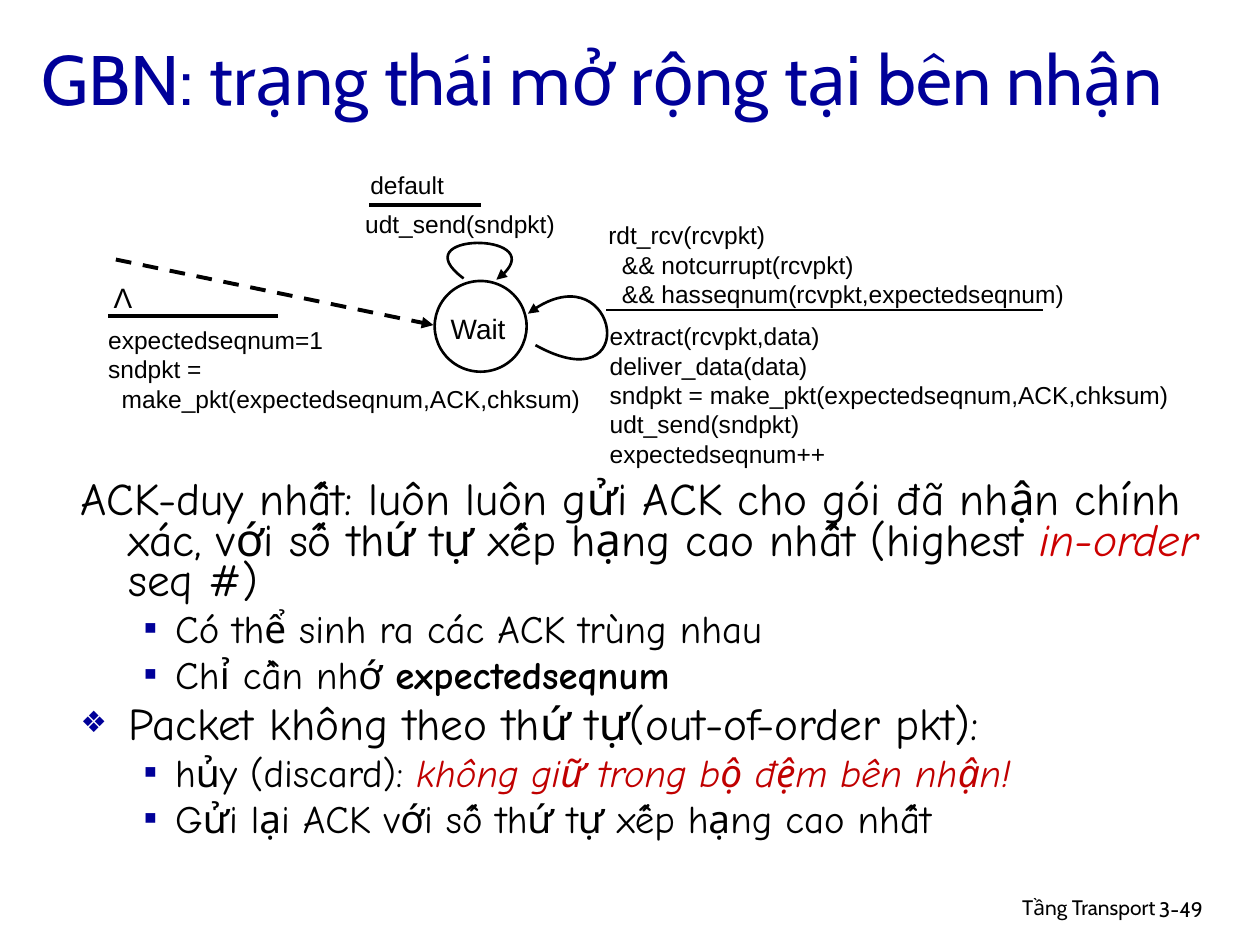
from lxml import etree
from pptx import Presentation
from pptx.dml.color import RGBColor
from pptx.enum.dml import MSO_LINE
from pptx.enum.shapes import MSO_CONNECTOR, MSO_SHAPE
from pptx.enum.text import MSO_ANCHOR, MSO_AUTO_SIZE, PP_ALIGN
from pptx.oxml.ns import qn
from pptx.util import Inches, Pt

LEFT, CENTER, RIGHT = PP_ALIGN.LEFT, PP_ALIGN.CENTER, PP_ALIGN.RIGHT
TOP, MIDDLE = MSO_ANCHOR.TOP, MSO_ANCHOR.MIDDLE
NO_AUTOFIT = MSO_AUTO_SIZE.NONE
STRAIGHT, OVAL, DASH = MSO_CONNECTOR.STRAIGHT, MSO_SHAPE.OVAL, MSO_LINE.DASH

COLORS = {
    "ink": "000000",
    "paper": "FFFFFF",
    "navy": "000099",
    "red": "CC0000",
    "dark red": "C00000",
}
# level: (text size, bullet, bullet size in %, left margin, hanging indent, space before)
LEVELS = {
    0: (25.9, "❖", 65, 0.38, 0.38, 7),
    1: (22.2, "▪", 100, 0.75, 0.25, 6),
}


def rgb(name):
    return RGBColor.from_string(COLORS[name])


class SlideBuilder:
    """Holds the style and the slide being filled."""

    heading_font = "Cabin"
    body_font = "Comic Neue"
    diagram_font = "Arial"

    def __init__(self, slide):
        self.slide = slide
        self.shapes = slide.shapes

    def style(self, font, face, size, color="ink"):
        font.name, font.size = face, Pt(size)
        font.color.rgb = rgb(color)

    def place(self, shape, box):
        shape.left, shape.top, shape.width, shape.height = map(Inches, box)

    def title(self, text, box):
        title = self.shapes.title
        self.place(title, box)
        frame = title.text_frame
        frame.text = text
        frame.auto_size, frame.vertical_anchor = NO_AUTOFIT, MIDDLE
        paragraph = frame.paragraphs[0]
        paragraph.alignment = LEFT
        self.style(paragraph.runs[0].font, self.heading_font, 40, "navy")

    def bullet(self, paragraph, level, shown):
        _, mark, percent, margin, hanging, _ = LEVELS[level]
        props = paragraph._p.get_or_add_pPr()
        props.set("marL", str(Inches(margin)))
        props.set("indent", str(-Inches(hanging)))
        if not shown:
            etree.SubElement(props, qn("a:buNone"))
            return
        color = etree.SubElement(props, qn("a:buClr"))
        etree.SubElement(color, qn("a:srgbClr"), val=COLORS["navy"])
        etree.SubElement(props, qn("a:buSzPct"), val=str(percent * 1000))
        etree.SubElement(props, qn("a:buChar"), char=mark)

    def body(self, items, box):
        """Each item is (level, has bullet, runs); a run is (text, color, bold, italic)."""
        body = self.slide.placeholders[1]
        self.place(body, box)
        frame = body.text_frame
        frame.auto_size, frame.vertical_anchor = NO_AUTOFIT, TOP
        for index, (level, has_bullet, runs) in enumerate(items):
            paragraph = frame.add_paragraph() if index else frame.paragraphs[0]
            paragraph.level = level
            self.bullet(paragraph, level, has_bullet)
            paragraph.line_spacing = 0.75
            paragraph.space_before = Pt(LEVELS[level][-1] if index else 0)
            for text, color, bold, italic in runs:
                run = paragraph.add_run()
                run.text = text
                self.style(run.font, self.body_font, LEVELS[level][0], color)
                run.font.bold, run.font.italic = bold, italic

    def label(self, text, box, size=14, face=diagram_font, align=LEFT, wrap=True):
        frame = self.shapes.add_textbox(*map(Inches, box)).text_frame
        frame.word_wrap = wrap
        frame.text = text
        for paragraph in frame.paragraphs:
            paragraph.alignment = align
            self.style(paragraph.runs[0].font, face, size)

    def state(self, box):
        circle = self.shapes.add_shape(OVAL, *map(Inches, box))
        circle.shadow.inherit = False
        circle.fill.solid()
        circle.fill.fore_color.rgb = rgb("paper")
        self.stroke(circle, 1.5)

    def stroke(self, shape, width, arrow=False):
        shape.line.color.rgb = rgb("ink")
        shape.line.width = Pt(width)
        if arrow:
            etree.SubElement(shape.line._get_or_add_ln(), qn("a:tailEnd"), type="triangle")

    def line(self, start, end, width=2.25, dashed=False, arrow=False):
        line = self.shapes.add_connector(STRAIGHT, *map(Inches, start + end))
        line.line.color.rgb = rgb("ink")
        if dashed:
            line.line.dash_style = DASH
        self.stroke(line, width, arrow)
        etree.SubElement(line._element.spPr, qn("a:effectLst"))

    def loop(self, *points):
        """Draw one cubic curve with an arrowhead: start, two control points, end."""
        start, *rest = [tuple(map(Inches, point)) for point in points]
        builder = self.shapes.build_freeform(*start)
        builder.add_line_segments(rest, close=False)
        loop = builder.convert_to_shape()
        outline = next(loop._element.iter(qn("a:path")))
        outline.set("fill", "none")
        curve = etree.SubElement(outline, qn("a:cubicBezTo"))
        for segment in outline.findall(qn("a:lnTo")):
            curve.append(segment[0])
            outline.remove(segment)
        loop.shadow.inherit = False
        loop.fill.background()
        self.stroke(loop, 1.5, arrow=True)


def plain(text):
    return [(text, "ink", False, False)]


def main():
    deck = Presentation()
    deck.slide_width, deck.slide_height = Inches(10), Inches(7.5)
    page = SlideBuilder(deck.slides.add_slide(deck.slide_layouts[1]))

    page.title("GBN: trạng thái mở rộng tại bên nhận", (0.23, 0.23, 9.5, 0.77))
    page.body([
        (0, False, plain("ACK-duy nhất: luôn luôn gửi ACK cho gói đã nhận chính xác, "
                         "với số thứ tự xếp hạng cao nhất (highest ")
         + [("in-order", "red", False, True)] + plain(" seq #)")),
        (1, True, plain("Có thể sinh ra các ACK trùng nhau")),
        (1, True, plain("Chỉ cần nhớ ") + [("expectedseqnum", "ink", True, False)]),
        (0, True, plain("Packet không theo thứ tự(out-of-order pkt):")),
        (1, True, plain("hủy (discard): ")
         + [("không giữ trong bộ đệm bên nhận!", "dark red", False, True)]),
        (1, True, plain("Gửi lại ACK với số thứ tự xếp hạng cao nhất")),
    ], (0.54, 3.78, 9.25, 3.12))

    # Waiting state and its transitions
    page.state((3.45, 2.23, 0.73, 0.72))
    page.label("Wait", (3.36, 2.42, 0.87, 0.26), size=16, align=CENTER)
    page.line((0.92, 2.06), (3.44, 2.58), dashed=True, arrow=True)
    page.loop((3.68, 2.21), (3.18, 1.84), (4.45, 1.84), (3.94, 2.22))
    page.loop((4.25, 2.74), (5.1, 3.21), (4.9, 1.95), (4.19, 2.49))

    # Default transition
    page.label("default", (2.84, 1.3, 0.79, 0.27))
    page.line((2.93, 1.63), (3.82, 1.63))
    page.label("udt_send(sndpkt)", (2.8, 1.61, 1.77, 0.34))

    # Packet received in order
    page.label("rdt_rcv(rcvpkt)\n  && notcurrupt(rcvpkt)\n"
               "  && hasseqnum(rcvpkt,expectedseqnum)", (4.73, 1.7, 3.9, 0.62))
    page.line((4.81, 2.46), (8.28, 2.46), width=1.5)
    page.label("extract(rcvpkt,data)\ndeliver_data(data)\n"
               "sndpkt = make_pkt(expectedseqnum,ACK,chksum)\n"
               "udt_send(sndpkt)\nexpectedseqnum++", (4.74, 2.5, 4.72, 0.94))

    # Initial transition
    page.label("Λ", (0.8, 2.18, 0.35, 0.37), size=16, align=CENTER, wrap=False)
    page.line((0.86, 2.51), (2.21, 2.51))
    page.label("expectedseqnum=1\nsndpkt =\n  make_pkt(expectedseqnum,ACK,chksum)",
               (0.76, 2.53, 3.98, 1.07))

    # Footer
    page.label("Tầng Transport", (6.1, 7.05, 3.17, 0.31), 12, page.heading_font, RIGHT)
    page.label("3-49", (9.1, 7.07, 0.74, 0.3), 12, page.heading_font)

    deck.save("out.pptx")


if __name__ == "__main__":
    main()
